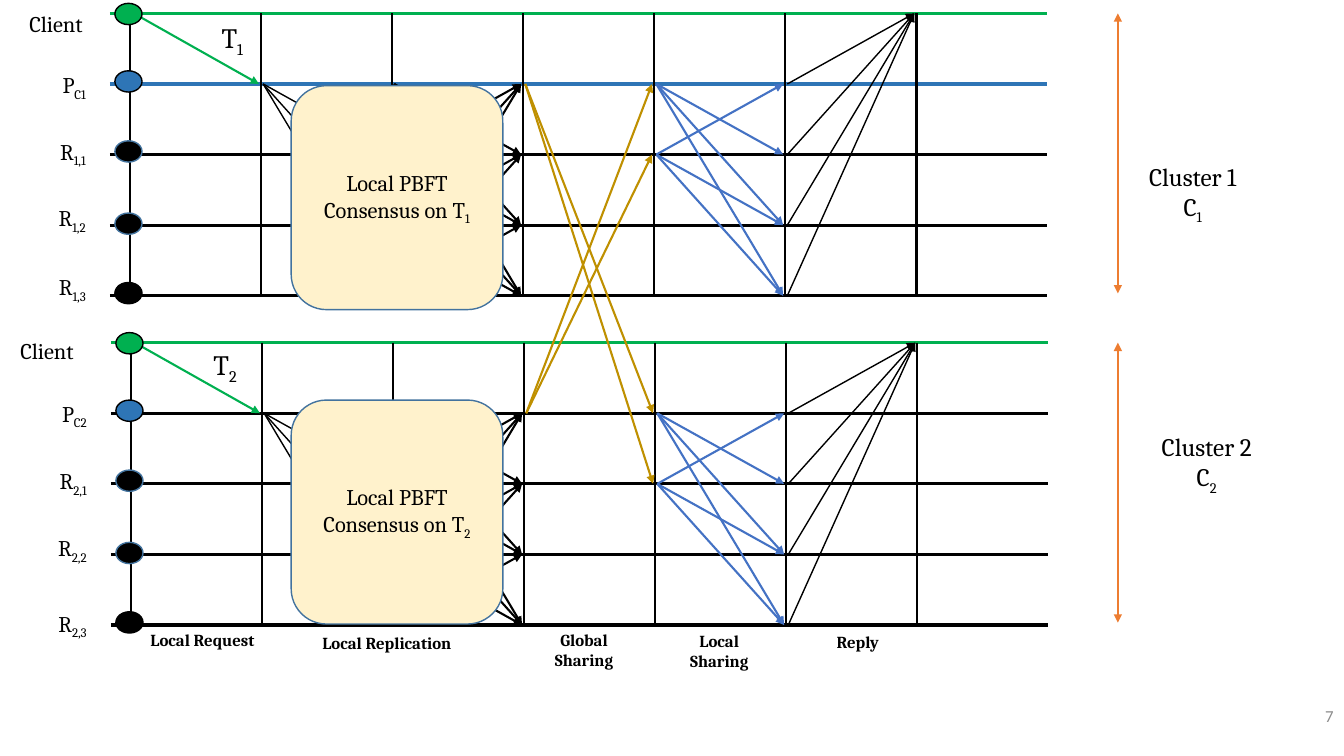
import pptx
import pptx.util
import pptx.dml.color
import pptx.enum.shapes
import pptx.enum.text
import pptx.oxml
import pptx.oxml.ns
import itertools

Pt = pptx.util.Pt
Shape = pptx.enum.shapes.MSO_SHAPE
Align = pptx.enum.text.PP_ALIGN
Anchor = pptx.enum.text.MSO_ANCHOR
Fit = pptx.enum.text.MSO_AUTO_SIZE

BLACK, GREEN, BLUE, EDGE = "000000", "00B050", "2E75B6", "43739E"
GOLD, SHARE, SPAN, CREAM, GREY = "BF9000", "4472C4", "ED7D31", "FFF2CC", "8C8C8C"
STEP, ROW = 93.6, 50.4   # spacing of the time columns and of the replica rows
GAP = 1.5                # space between an arrow and the column line


def tint(hue):
    return pptx.dml.color.RGBColor.from_string(hue)


class Board:
    """Holds the text style and the slide that is being filled."""

    def __init__(self, slide):
        self.slide = slide
        self.style = {"name": "Cambria", "size": Pt(16), "bold": False}

    def letter(self, frame, text, align, hue=BLACK, **extra):
        """Fill a frame; a new line starts a paragraph, '_' starts a subscript."""
        for n, row in enumerate(text.split("\n")):
            para = frame.add_paragraph() if n else frame.paragraphs[0]
            para.alignment = align
            for k, part in enumerate(row.split("_")):
                run = para.add_run()
                run.text = part
                for key, value in {**self.style, **extra}.items():
                    setattr(run.font, key, value)
                run.font.color.rgb = tint(hue)
                if k:
                    run.font._element.set("baseline", "-25000")

    def text(self, box, text, align=Align.CENTER, wrap=False, anchor=Anchor.TOP,
             hue=BLACK, **extra):
        frame = self.slide.shapes.add_textbox(*map(Pt, box)).text_frame
        frame.word_wrap = wrap
        frame.auto_size = Fit.NONE if anchor == Anchor.MIDDLE else Fit.SHAPE_TO_FIT_TEXT
        frame.vertical_anchor = anchor
        self.letter(frame, text, align, hue, **extra)

    def line(self, start, end, hue=BLACK, width=1.75, heads=()):
        kind = pptx.enum.shapes.MSO_CONNECTOR.STRAIGHT
        link = self.slide.shapes.add_connector(kind, *map(Pt, (*start, *end)))
        link.line.color.rgb = tint(hue)
        link.line.width = Pt(width)
        props = link._element.spPr
        for head in heads:
            props.get_or_add_ln().append(pptx.oxml.parse_xml(
                f'<a:{head} {pptx.oxml.ns.nsdecls("a")} type="triangle"/>'))
        props.append(
            pptx.oxml.parse_xml(f'<a:effectLst {pptx.oxml.ns.nsdecls("a")}/>'))

    def arrow(self, start, end, hue=BLACK, width=1.5):
        """Arrow between two grid points, kept just clear of both columns."""
        (x1, y1), (x2, y2) = start, end
        self.line((x1 + GAP, y1), (x2 - GAP, y2), hue, width, ["tailEnd"])

    def shape(self, kind, box, fill, edge, text=""):
        item = self.slide.shapes.add_shape(kind, *map(Pt, box))
        item.shadow.inherit = False
        item.fill.solid()
        item.fill.fore_color.rgb = tint(fill)
        item.line.color.rgb = tint(edge)
        item.line.width = Pt(1)
        if text:
            item.text_frame.word_wrap = True
            item.text_frame.vertical_anchor = Anchor.MIDDLE
            self.letter(item.text_frame, text, Align.CENTER)


class Cluster:
    """One group of a client, a primary and three replicas on a time grid."""

    def __init__(self, num, left, top, lead):
        self.num, self.left, self.top, self.lead = num, left, top, lead

    def at(self, col, row):
        return self.left + col * STEP, self.top + row * ROW

    def draw(self, board, client, tops, box_top, note, title):
        left, num = self.left, self.num
        for row, hue in enumerate((GREEN, self.lead, BLACK, BLACK, BLACK)):
            y = self.top + row * ROW
            board.line((left - 14.4, y), (left + 655.2, y), hue, 2.25)
        for col in range(7):
            board.line(self.at(col, 0), self.at(col, 4))

        board.arrow((left + 3, self.top + 1), self.at(1, 1), GREEN)
        for row in (2, 3, 4):
            board.arrow(self.at(1, 1), self.at(2, row), width=1)
        for a, b in itertools.permutations(range(1, 5), 2):
            board.arrow(self.at(2, a), self.at(3, b))
            if a < 3:
                board.arrow(self.at(4, a), self.at(5, b), SHARE)
        for row in range(1, 5):
            board.arrow(self.at(5, row), self.at(6, 0), width=1)

        dots = ((GREEN, BLACK, 0.4), (BLUE, BLACK, -1.8), (BLACK, EDGE, -2.2),
                (BLACK, EDGE, -1), (BLACK, BLACK, -1.8))
        for row, (fill, edge, shift) in enumerate(dots):
            y = self.top + row * ROW + shift
            board.shape(Shape.OVAL, (left - 10.8, y - 7.6, 19.4, 15.2), fill, edge)

        names = ["Client", f"P_C{num}"] + [f"R_{num},{k}" for k in (1, 2, 3)]
        for name, y in zip(names, tops):
            x, wide = (client, 57.6) if name == "Client" else (left - 63.4, 38.9)
            board.text((x, y, wide, 26.6), name, Align.RIGHT)
        board.shape(Shape.ROUNDED_RECTANGLE, (208, box_top, 151.2, 160), CREAM, EDGE,
                    f"Local PBFT Consensus on T_{num}")
        board.text((*note, 44, 31.7), f"T_{num}", Align.LEFT, True, size=Pt(20))
        board.line((798.5, self.top), (798.5, self.top + 200), SPAN, 1.5,
                   ["headEnd", "tailEnd"])
        board.text((*title, 88, 51), f"Cluster {num}\nC_{num}", size=Pt(18))


def main():
    deck = pptx.Presentation()
    deck.slide_width, deck.slide_height = Pt(960), Pt(540)
    board = Board(deck.slides.add_slide(deck.slide_layouts[6]))

    first = Cluster(1, 92.9, 9.6, BLUE)
    second = Cluster(2, 93.6, 244.8, BLACK)
    second.draw(board, 2.2, (237.6, 282.2, 330.5, 378, 432), 285.8,
                (145.4, 244.8), (818, 304.6))
    first.draw(board, 8.6, (3.6, 47.5, 95, 142.6, 191.5), 61.2,
               (151.2, 10.8), (808, 111.6))
    for a, b in ((first, second), (second, first)):
        for row in (1, 2):
            board.arrow(a.at(3, 1), b.at(4, row), GOLD)

    stages = (("Local Request", 98.6, 446.4, 92.2),
              ("Local Replication", 221, 448.6, 110.9),
              ("Global\nSharing", 388, 446.4, 58.3),
              ("Local\nSharing", 484.6, 447.1, 58.3),
              ("Reply", 589, 447.8, 47.5))
    for name, x, y, wide in stages:
        board.text((x, y, wide, 21.6), name, size=Pt(12), bold=True)
    board.text((837.4, 496.8, 122.4, 28.8), "7", Align.RIGHT, True, Anchor.MIDDLE,
               GREY, name="Calibri", size=Pt(12))
    deck.save("out.pptx")


if __name__ == "__main__":
    main()
